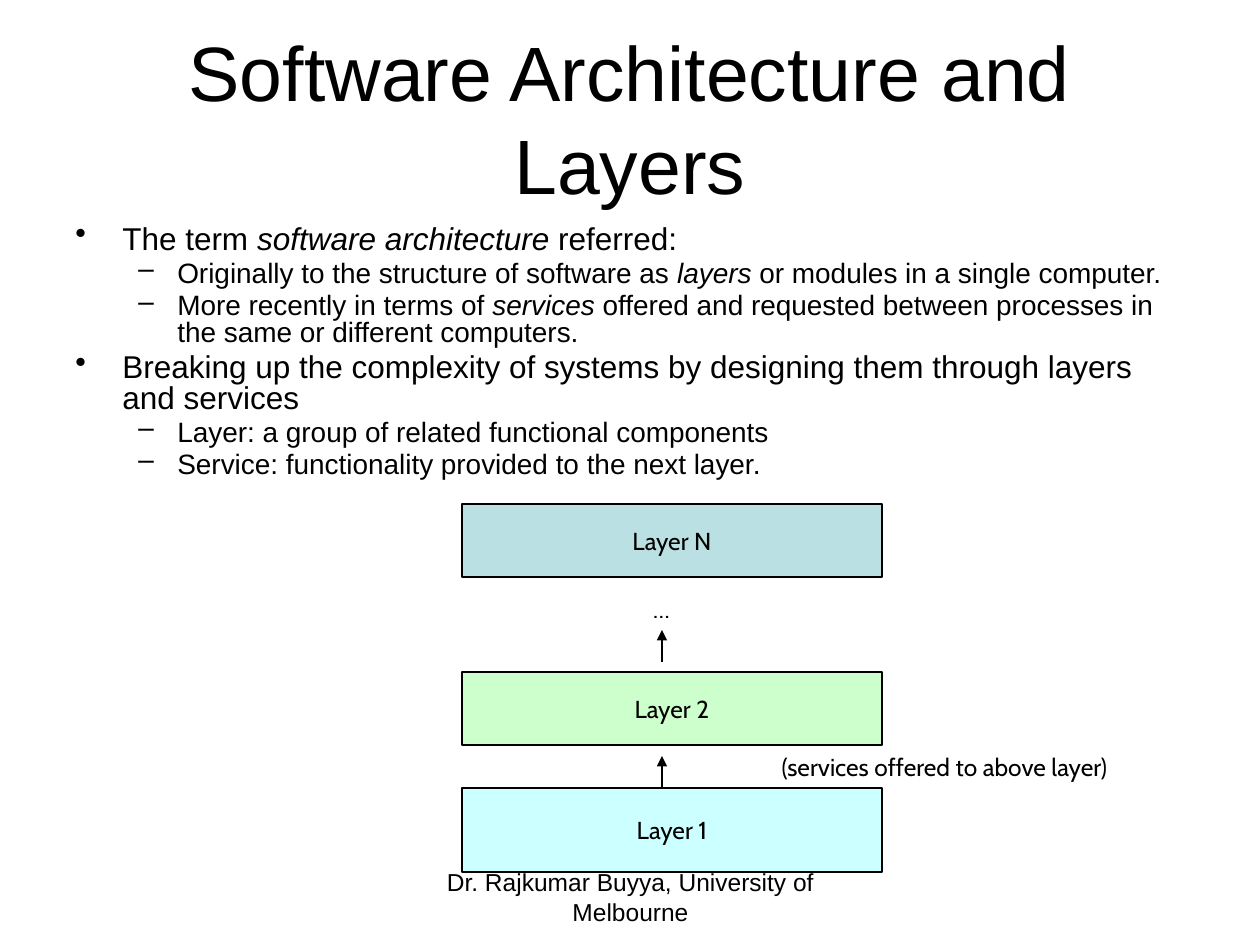
from pptx import Presentation
from pptx.dml.color import RGBColor as Color
from pptx.enum.shapes import MSO_CONNECTOR as Conn, MSO_SHAPE as Shape
from pptx.enum.text import MSO_ANCHOR as Anchor, PP_ALIGN as Align
from pptx.oxml.xmlchemy import OxmlElement as Node
from pptx.util import Pt

THEME = {
    "ink": "000000", "line": 0.75,
    "sans": "Arial", "label": "Cabin",
    "title": 44, "body": (18, 16), "small": 14,
}
TITLE = "Software Architecture and Layers"
FOOT = "Dr. Rajkumar Buyya, University of Melbourne"
POINTS = [
    (0, "The term *software architecture *referred:"),
    (1, "Originally to the structure of software as *layers* or modules in a single computer."),
    (1, "More recently in terms of *services* offered and requested between processes in the same or different computers."),
    (0, "Breaking up the complexity of systems by designing them through layers and services"),
    (1, "Layer: a group of related functional components"),
    (1, "Service: functionality provided to the next layer."),
]
LEVELS = [("•", 47, 47), ("–", 102, 39)]
LAYERS = [
    ("Layer 1", 788, 84, "CCFFFF"),
    ("Layer 2", 672, 73, "CCFFCC"),
    ("Layer N", 504, 73, "BBE0E3"),
]
LEFT, WIDTH = 462, 420
ARROWS, MID, RISE = [788, 662], 662, 32
NOTES = [
    ("(services offered to above layer)", (756, 746, 377, 42)),
    ("…", (639, 588, 45, 42)),
]


def px(n):
    return round(n * 914400 / 126)


def hue(code):
    return Color.from_string(code)


def write(frame, text, size=THEME["small"], font=THEME["label"],
          align=Align.CENTER, anchor=Anchor.TOP, wrap=False, level=None, more=False):
    frame.word_wrap = wrap
    frame.vertical_anchor = anchor
    para = frame.add_paragraph() if more else frame.paragraphs[0]
    para.alignment = align
    for i, part in enumerate(text.split("*")):
        run = para.add_run()
        run.text = part
        run.font.size = Pt(size)
        run.font.name = font
        run.font.italic = i % 2 == 1
        run.font.color.rgb = hue(THEME["ink"])
    if level is not None:
        mark, left, hang = LEVELS[level]
        para.level = level
        para.line_spacing = 0.8
        para.space_before = Pt(size * 0.2)
        props = para._p.get_or_add_pPr()
        props.set("marL", str(px(left)))
        props.set("indent", str(-px(hang)))
        dot = Node("a:buChar")
        dot.set("char", mark)
        props.append(dot)


def frame(box):
    return slide.shapes.add_textbox(*map(px, box)).text_frame


def arrow(x, low, high):
    link = slide.shapes.add_connector(Conn.STRAIGHT, px(x), px(low), px(x), px(high))
    link.line.color.rgb = hue(THEME["ink"])
    link.line.width = Pt(THEME["line"])
    tip = Node("a:tailEnd")
    tip.set("type", "triangle")
    link.line._get_or_add_ln().append(tip)
    link._element.spPr.append(Node("a:effectLst"))


deck = Presentation()
deck.slide_width, deck.slide_height = px(1260), px(945)
slide = deck.slides.add_slide(deck.slide_layouts[6])

write(frame((431, 861, 399, 66)), FOOT, font=THEME["sans"], wrap=True)
write(frame((63, 38, 1134, 158)), TITLE, size=THEME["title"],
      font=THEME["sans"], anchor=Anchor.MIDDLE, wrap=True)

body = frame((63, 220, 1134, 287))
for i, (level, text) in enumerate(POINTS):
    write(body, text, size=THEME["body"][level], font=THEME["sans"],
          align=Align.LEFT, wrap=True, level=level, more=i > 0)

for name, top, high, fill in LAYERS:
    box = slide.shapes.add_shape(Shape.RECTANGLE, *map(px, (LEFT, top, WIDTH, high)))
    box.shadow.inherit = False
    box.fill.solid()
    box.fill.fore_color.rgb = hue(fill)
    box.line.color.rgb = hue(THEME["ink"])
    box.line.width = Pt(THEME["line"])
    write(box.text_frame, name, anchor=Anchor.MIDDLE)

for low in ARROWS:
    arrow(MID, low, low - RISE)

for text, box in NOTES:
    write(frame(box), text)

deck.save("out.pptx")
